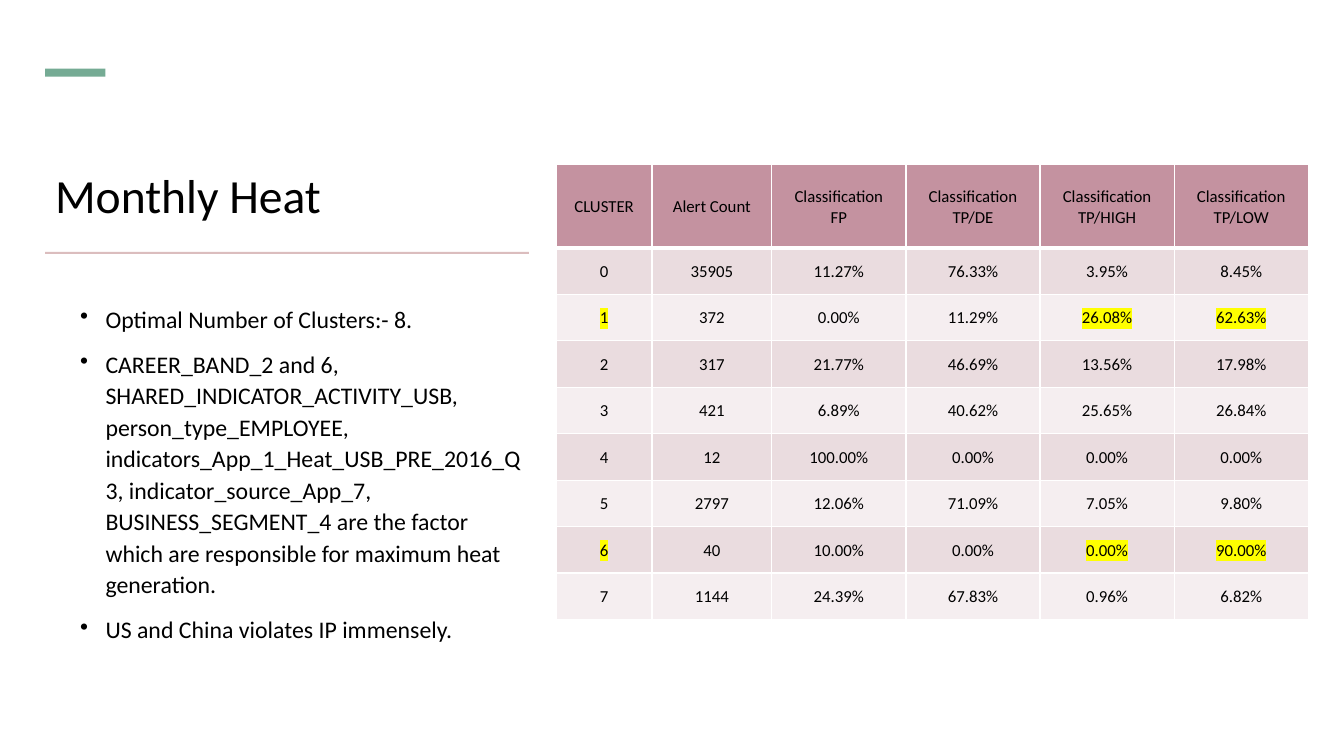
from dataclasses import dataclass

from lxml.etree import SubElement
from pptx import Presentation
from pptx.dml.color import RGBColor
from pptx.enum.shapes import MSO_SHAPE
from pptx.enum.text import MSO_ANCHOR, PP_ALIGN
from pptx.oxml.ns import qn
from pptx.util import Cm, Pt


@dataclass(frozen=True)
class Theme:
    font: str = "Calibri"
    ink: str = "000000"
    accent: str = "75AB94"
    rule: str = "DBBDBE"
    head: str = "C492A0"
    bands: tuple = ("EADCDF", "F5EEF0")
    border: str = "FFFFFF"
    mark: str = "FFFF00"
    title: int = 34
    body: int = 17
    cell: int = 12


THEME = Theme()

POINTS = [
    "Optimal Number of Clusters:- 8.",
    "CAREER_BAND_2 and 6, SHARED_INDICATOR_ACTIVITY_USB, "
    "person_type_EMPLOYEE, indicators_App_1_Heat_USB_PRE_2016_Q3, "
    "indicator_source_App_7, BUSINESS_SEGMENT_4 are the factor which are "
    "responsible for maximum heat generation.",
    "US and China violates IP immensely.",
]

HEADS = ["CLUSTER", "Alert Count"] + [
    f"Classification\n{kind}" for kind in ("FP", "TP/DE", "TP/HIGH", "TP/LOW")
]
ROWS = [
    ("0", "35905", "11.27%", "76.33%", "3.95%", "8.45%"),
    ("1", "372", "0.00%", "11.29%", "26.08%", "62.63%"),
    ("2", "317", "21.77%", "46.69%", "13.56%", "17.98%"),
    ("3", "421", "6.89%", "40.62%", "25.65%", "26.84%"),
    ("4", "12", "100.00%", "0.00%", "0.00%", "0.00%"),
    ("5", "2797", "12.06%", "71.09%", "7.05%", "9.80%"),
    ("6", "40", "10.00%", "0.00%", "0.00%", "90.00%"),
    ("7", "1144", "24.39%", "67.83%", "0.96%", "6.82%"),
]
MARKED = {(row, col) for row in (2, 7) for col in (0, 4, 5)}
WIDTHS = [2.41, 3.02] + [3.38] * 4
HEIGHTS = [2.11] + [1.17] * len(ROWS)


def style(para, size):
    para.font.name = THEME.font
    para.font.size = Pt(size)
    para.font.color.rgb = RGBColor.from_string(THEME.ink)


def add_bar(slide, box, color):
    bar = slide.shapes.add_shape(MSO_SHAPE.RECTANGLE, *map(Cm, box))
    bar.shadow.inherit = False
    bar.fill.solid()
    bar.fill.fore_color.rgb = RGBColor.from_string(color)
    bar.line.fill.background()


def add_text(slide, box, lines, size, spacing, anchor):
    frame = slide.shapes.add_textbox(*map(Cm, box)).text_frame
    frame.word_wrap = True
    frame.vertical_anchor = anchor
    frame.text = "\n".join(lines)
    for para in frame.paragraphs:
        style(para, size)
        para.line_spacing = spacing
    return frame


def add_bullet(para):
    props = para._p.get_or_add_pPr()
    props.set("marL", str(Cm(1.27)))
    props.set("indent", str(-Cm(0.64)))
    bullet = SubElement(props, qn("a:buChar"), char="•")
    props.insert(0, bullet)
    para.space_before = Pt(10)


def set_border(cell, bottom):
    props = cell._tc.get_or_add_tcPr()
    for side, width in zip("LRTB", (1, 1, 1, bottom)):
        line = SubElement(props, qn(f"a:ln{side}"), w=str(Pt(width)))
        fill = SubElement(line, qn("a:solidFill"))
        SubElement(fill, qn("a:srgbClr"), val=THEME.border)


def highlight(run):
    mark = SubElement(run._r.get_or_add_rPr(), qn("a:highlight"))
    SubElement(mark, qn("a:srgbClr"), val=THEME.mark)


def fill_cell(cell, text, color, inset, bottom):
    set_border(cell, bottom)
    cell.fill.solid()
    cell.fill.fore_color.rgb = RGBColor.from_string(color)
    cell.vertical_anchor = MSO_ANCHOR.MIDDLE
    cell.margin_left = cell.margin_right = cell.margin_top = Cm(inset)
    cell.margin_bottom = 0
    cell.text = text
    for para in cell.text_frame.paragraphs:
        para.alignment = PP_ALIGN.CENTER
        style(para, THEME.cell)


def add_grid(slide, left, top):
    size = map(Cm, (left, top, sum(WIDTHS), sum(HEIGHTS)))
    table = slide.shapes.add_table(len(HEIGHTS), len(WIDTHS), *size).table
    for column, width in zip(table.columns, WIDTHS):
        column.width = Cm(width)
    for row, height in zip(table.rows, HEIGHTS):
        row.height = Cm(height)
    for col, text in enumerate(HEADS):
        fill_cell(table.cell(0, col), text, THEME.head, 0.05, 3)
    for row, values in enumerate(ROWS, 1):
        for col, text in enumerate(values):
            cell = table.cell(row, col)
            fill_cell(cell, text, THEME.bands[(row - 1) % 2], 0.03, 1)
            if row == 1:
                line = cell._tc.tcPr.find(qn("a:lnT"))
                line.set("w", str(Pt(3)))
            if (row, col) in MARKED:
                highlight(cell.text_frame.paragraphs[0].runs[0])


def main():
    deck = Presentation()
    deck.slide_width, deck.slide_height = Cm(33.87), Cm(19.05)
    slide = deck.slides.add_slide(deck.slide_layouts[6])
    add_text(slide, (1.14, 2.74, 12.34, 3.02), ["Monthly Heat"],
             THEME.title, 0.9, MSO_ANCHOR.BOTTOM)
    add_bar(slide, (1.14, 1.73, 1.52, 0.2), THEME.accent)
    add_bar(slide, (1.14, 6.35, 12.19, 0.05), THEME.rule)
    body = add_text(slide, (1.14, 7.47, 12.34, 9.7), POINTS,
                    THEME.body, 1.1, MSO_ANCHOR.TOP)
    for para in body.paragraphs:
        add_bullet(para)
    add_grid(slide, 14.02, 4.14)
    deck.save("out.pptx")


if __name__ == "__main__":
    main()
